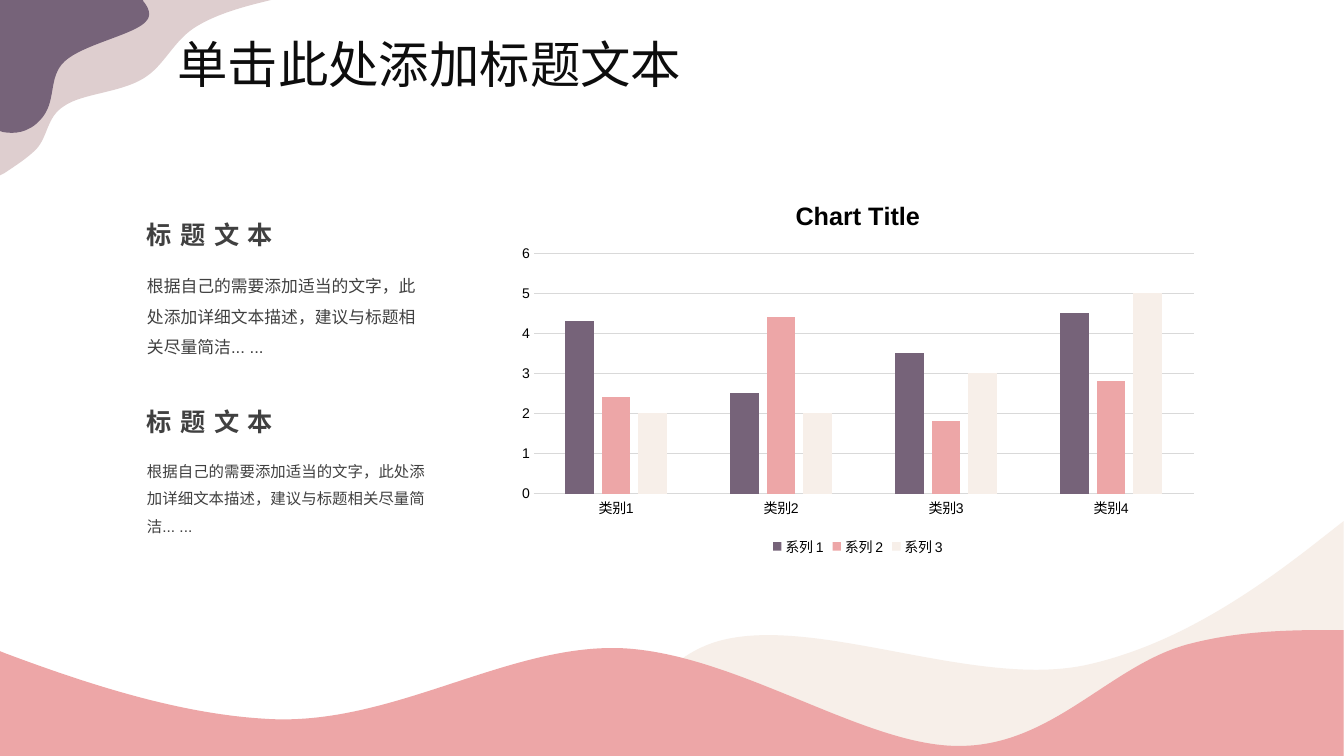
from dataclasses import dataclass
from lxml import etree
from pptx import Presentation, util as u
from pptx.chart.data import CategoryChartData
from pptx.dml.color import RGBColor
from pptx.enum import chart as ch, text
from pptx.oxml import ns

PX = 9144


@dataclass(frozen=True)
class Theme:
    plum: str = "766379"
    mauve: str = "DECECF"
    rose: str = "EDA6A7"
    cream: str = "F7EFE9"
    grid: str = "D9D9D9"
    ink: str = "0D0D0D"
    grey: str = "404040"
    black: str = "000000"
    sans: str = "Arial"
    lato: str = "Lato"
    title: int = 36
    head: int = 18
    body: int = 12
    small: int = 11
    label: int = 10


T = Theme()
BODY = "根据自己的需要添加适当的文字，此处添加详细文本描述，建议与标题相关尽量简洁... ..."
BACK = [(737, 0), (737, 233), (0, 233), (14, 214),
        (42, 174, 68, 133, 117, 119), (214, 92, 374, 168, 485, 142),
        (567, 123, 640, 76, 709, 22)]
FRONT = [(1317, 0), (1333, 0), (1333, 125), (0, 125), (0, 21), (5, 23),
         (93, 56, 180, 83, 262, 88), (387, 97, 501, 14, 616, 18),
         (731, 23, 858, 116, 952, 115), (1046, 115, 1103, 32, 1183, 13),
         (1227, 2, 1271, 0, 1317, 0)]
OUTER = [(0, 0), (269, 0), (265, 1), (240, 7, 216, 14, 197, 25),
         (172, 39, 164, 65, 142, 78), (119, 92, 81, 93, 64, 105),
         (46, 116, 48, 135, 36, 148), (27, 157, 16, 164, 4, 172), (0, 174)]
INNER = [(0, 0), (142, 0), (142, 1), (147, 7, 151, 15, 145, 21),
         (135, 34, 82, 44, 64, 61), (47, 77, 57, 101, 40, 119),
         (28, 132, 14, 133, 3, 131), (0, 130)]


def rgb(code):
    return RGBColor.from_string(code)


def curve(shape, segs):
    route = shape._element.xpath(".//a:path")[0]
    for old in list(route):
        route.remove(old)
    for n, seg in enumerate(segs):
        tag = "a:moveTo" if n == 0 else "a:lnTo" if len(seg) == 2 else "a:cubicBezTo"
        step = etree.SubElement(route, ns.qn(tag))
        for x, y in zip(seg[::2], seg[1::2]):
            etree.SubElement(step, ns.qn("a:pt"), x=str(x), y=str(y))
    etree.SubElement(route, ns.qn("a:close"))


def blob(slide, box, segs, color):
    left, top, wide, high = box
    pen = slide.shapes.build_freeform(left, top, scale=PX)
    pen.add_line_segments([(left + wide, top), (left + wide, top + high)])
    shape = pen.convert_to_shape()
    curve(shape, segs)
    shape.shadow.inherit = False
    shape.fill.solid()
    shape.fill.fore_color.rgb = rgb(color)
    shape.line.fill.background()


def style(font, size, color, face=T.sans, bold=False):
    font.size = u.Pt(size)
    font.color.rgb = rgb(color)
    font.name = face
    font.bold = bold


def write(slide, box, words, size, color, face=T.sans, bold=False, track=0, lead=None):
    frame = slide.shapes.add_textbox(*(n * PX for n in box)).text_frame
    frame.word_wrap = True
    frame.auto_size = text.MSO_AUTO_SIZE.SHAPE_TO_FIT_TEXT
    para = frame.paragraphs[0]
    para.line_spacing = lead
    run = para.add_run()
    run.text = words
    style(run.font, size, color, face, bold)
    if track:
        run._r.get_or_add_rPr().set("spc", str(track * 100))


def corner(slide, left, top):
    blob(slide, (left, top, 269, 174), OUTER, T.mauve)
    blob(slide, (left, top, 148, 132), INNER, T.plum)


def waves(slide, left, top):
    blob(slide, (left + 596, top, 737, 233), BACK, T.cream)
    blob(slide, (left, top + 108, 1333, 125), FRONT, T.rose)


def note(slide, left, top, high, size):
    write(slide, (left, top, 244, 40), "标题文本", T.head, T.grey, bold=True, track=6)
    write(slide, (left, top + 46, 299, high), BODY, size, T.grey, lead=1.5)


def graph(slide, box):
    data = CategoryChartData()
    data.categories = [f"类别{n}" for n in range(1, 5)]
    rows = [(4.3, 2.5, 3.5, 4.5), (2.4, 4.4, 1.8, 2.8), (2, 2, 3, 5)]
    for n, vals in enumerate(rows, 1):
        data.add_series(f"系列 {n}", vals)
    chart = slide.shapes.add_chart(
        ch.XL_CHART_TYPE.COLUMN_CLUSTERED, *(n * PX for n in box), data).chart
    style(chart.font, T.label, T.black)
    chart.has_title = True
    run = chart.chart_title.text_frame.paragraphs[0].add_run()
    run.text = "Chart Title"
    style(run.font, T.head, T.black, bold=True)
    chart.has_legend = True
    chart.legend.position = ch.XL_LEGEND_POSITION.BOTTOM
    chart.legend.include_in_layout = False
    plot = chart.plots[0]
    plot.vary_by_categories = False
    plot.gap_width = 219
    plot.overlap = -27
    for bars, color in zip(plot.series, (T.plum, T.rose, T.cream)):
        bars.format.fill.solid()
        bars.format.fill.fore_color.rgb = rgb(color)
    cat, val = chart.category_axis, chart.value_axis
    for axis in (cat, val):
        axis.major_tick_mark = axis.minor_tick_mark = ch.XL_TICK_MARK.NONE
    val.minimum_scale, val.maximum_scale, val.major_unit = 0, 6, 1
    val.has_major_gridlines = True
    val.format.line.fill.background()
    for line in (cat.format.line, val.major_gridlines.format.line):
        line.color.rgb = rgb(T.grid)
        line.width = u.Pt(0.75)


def main():
    deck = Presentation()
    deck.slide_width, deck.slide_height = u.Emu(12192000), u.Inches(7.5)
    slide = deck.slides.add_slide(deck.slide_layouts[6])
    waves(slide, 0, 517)
    corner(slide, 0, 0)
    graph(slide, (504, 180, 694, 376))
    note(slide, 136, 213, 98, T.body)
    note(slide, 136, 398, 93, T.small)
    write(slide, (166, 28, 615, 71), "单击此处添加标题文本", T.title, T.ink, T.lato)
    deck.save("out.pptx")


if __name__ == "__main__":
    main()
